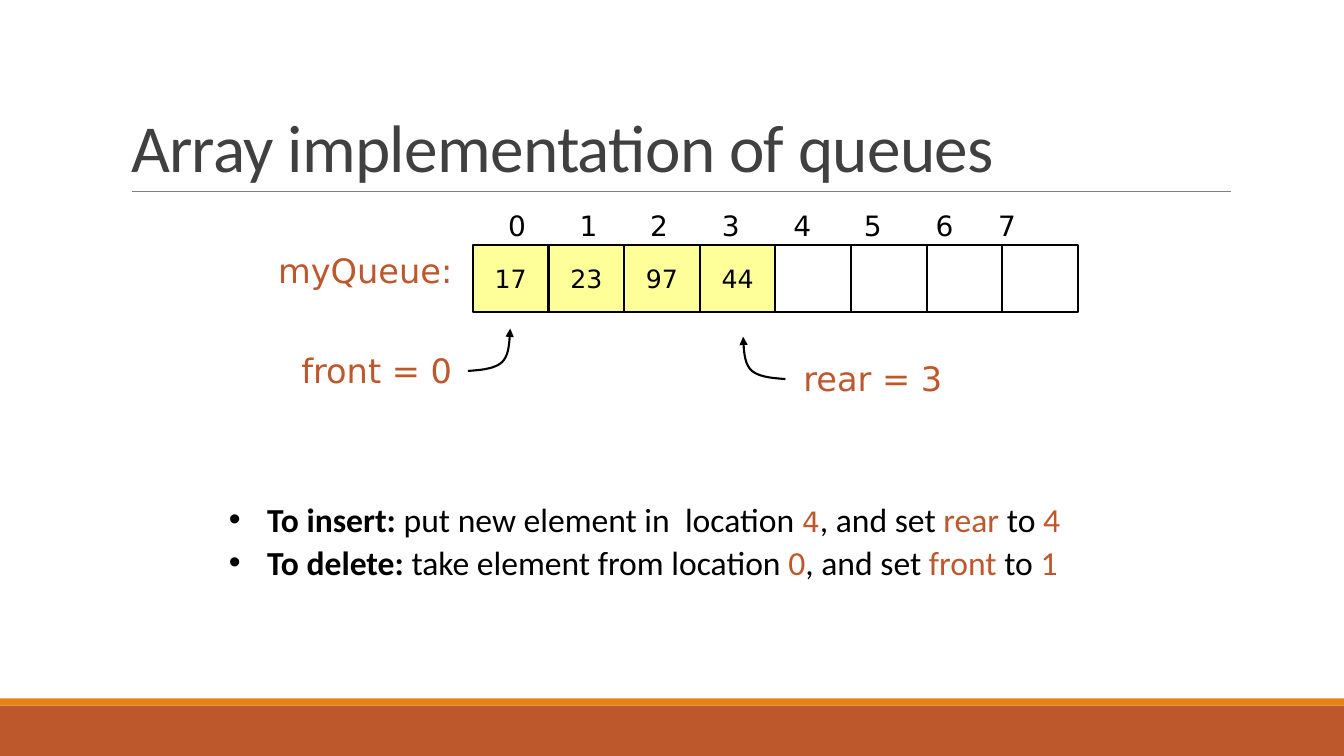
from lxml.etree import SubElement
from pptx import Presentation
from pptx.dml.color import RGBColor
from pptx.enum.shapes import MSO_CONNECTOR as Connector, MSO_SHAPE as Preset
from pptx.enum.text import MSO_ANCHOR as Anchor, MSO_AUTO_SIZE as AutoSize, PP_ALIGN as Align
from pptx.oxml.ns import qn
from pptx.util import Inches, Pt

BLACK, RUST, ORANGE, YELLOW = "000000", "BD582C", "E48312", "FFFF99"
GREY, DARK = "808080", "404040"
SANS, BODY = "DejaVu Sans", "Calibri"
VALUES = ["17", "23", "97", "44", "", "", "", ""]
CELL_WIDTH = 0.75
INDEX_TABS = [round(0.707 * step, 2) for step in range(1, 7)] + [4.86]
ARROW_SIZE = 0.42
ARROW_CURVES = [
    [(0, 1), (0.31, 0.98), (0.64, 0.95), (0.81, 0.79)],
    [(0.81, 0.79), (0.98, 0.62), (0.98, 0.31), (1, 0)],
]
STEPS = [
    [("To insert:", BLACK), (" put new element in  location ", BLACK), ("4", RUST),
     (", and set ", BLACK), ("rear", RUST), (" to ", BLACK), ("4", RUST)],
    [("To delete:", BLACK), (" take element from location ", BLACK), ("0", RUST),
     (", and set ", BLACK), ("front", RUST), (" to ", BLACK), ("1", RUST)],
]


def color(value):
    return RGBColor.from_string(value)


def set_font(font, size, name, value):
    font.size = Pt(size)
    font.name = name
    font.color.rgb = color(value)


def place(shape, left, top, width, height):
    shape.left, shape.top = Inches(left), Inches(top)
    shape.width, shape.height = Inches(width), Inches(height)


def add_box(slide, left, top, width, height, fill=None, outline=None):
    shape = slide.shapes.add_shape(
        Preset.RECTANGLE, Inches(left), Inches(top), Inches(width), Inches(height))
    shape.shadow.inherit = False
    if fill:
        shape.fill.solid()
        shape.fill.fore_color.rgb = color(fill)
    else:
        shape.fill.background()
    if outline:
        shape.line.color.rgb = color(outline)
        shape.line.width = Pt(1.5)
    else:
        shape.line.fill.background()
    return shape


def add_label(slide, text, left, top, width, height, size=24, value=RUST, tabs=()):
    label = slide.shapes.add_textbox(
        Inches(left), Inches(top), Inches(width), Inches(height))
    label.text_frame.word_wrap = True
    paragraph = label.text_frame.paragraphs[0]
    paragraph.text = text
    if tabs:
        tab_list = SubElement(paragraph._p.get_or_add_pPr(), qn("a:tabLst"))
        for position in tabs:
            SubElement(tab_list, qn("a:tab"), pos=str(Inches(position)), algn="l")
    set_font(paragraph.font, size, SANS, value)


def add_frame(slide, width, height):
    add_box(slide, 0, height - 0.5, width, 0.5, RUST)
    add_box(slide, 0, height - 0.57, width, 0.07, ORANGE)
    rule = slide.shapes.add_connector(
        Connector.STRAIGHT, Inches(1.31), Inches(1.9), Inches(12.21), Inches(1.9))
    rule.line.color.rgb = color(GREY)
    rule.line.width = Pt(0.5)
    SubElement(rule._element.spPr, qn("a:effectLst"))


def add_title(slide, left, top, width, height):
    title = slide.shapes.title
    place(title, left, top, width, height)
    frame = title.text_frame
    frame.text = "Array implementation of queues"
    frame.auto_size = AutoSize.NONE
    frame.vertical_anchor = Anchor.BOTTOM
    paragraph = frame.paragraphs[0]
    paragraph.alignment = Align.LEFT
    paragraph.line_spacing = 0.85
    set_font(paragraph.font, 48, BODY, DARK)
    paragraph.runs[0]._r.get_or_add_rPr().set("spc", "-50")


def add_queue(slide, left, top, height):
    for index, value in enumerate(VALUES):
        cell = add_box(slide, left + index * CELL_WIDTH, top, CELL_WIDTH, height,
                       YELLOW if value else None, BLACK)
        if value:
            frame = cell.text_frame
            frame.text = value
            frame.word_wrap = False
            frame.vertical_anchor = Anchor.MIDDLE
            paragraph = frame.paragraphs[0]
            paragraph.alignment = Align.CENTER
            set_font(paragraph.font, 18, SANS, BLACK)
    indexes = "\t".join(str(index) for index in range(len(VALUES)))
    add_label(slide, indexes, left + 0.25, top - 0.41, 5.81, 0.43, 20, BLACK, INDEX_TABS)
    add_label(slide, "myQueue:", left - 2.03, top, 1.96, 0.5)


def curve_point(controls, t):
    weights = ((1 - t) ** 3, 3 * t * (1 - t) ** 2, 3 * t * t * (1 - t), t ** 3)
    return [sum(weight * point[axis] for weight, point in zip(weights, controls))
            for axis in (0, 1)]


def add_pointer(slide, text, text_left, arrow_left, top, mirrored=False):
    add_label(slide, text, text_left, top + 0.16, 1.83, 0.5)
    points = [curve_point(controls, step / 12)
              for controls in ARROW_CURVES for step in range(13)]
    corners = [(Inches(arrow_left + ARROW_SIZE * (1 - x if mirrored else x)),
                Inches(top + ARROW_SIZE * y)) for x, y in points]
    builder = slide.shapes.build_freeform(*corners[0])
    builder.add_line_segments(corners[1:], close=False)
    arrow = builder.convert_to_shape()
    arrow.shadow.inherit = False
    arrow.fill.background()
    arrow.line.color.rgb = color(BLACK)
    arrow.line.width = Pt(1.5)
    SubElement(arrow.line._get_or_add_ln(), qn("a:tailEnd"), type="triangle")


def add_steps(slide, left, top, width, height):
    body = slide.placeholders[1]
    place(body, left, top, width, height)
    frame = body.text_frame
    frame.auto_size = AutoSize.NONE
    frame.vertical_anchor = Anchor.TOP
    for index, parts in enumerate(STEPS):
        paragraph = frame.add_paragraph() if index else frame.paragraphs[0]
        properties = paragraph._p.get_or_add_pPr()
        properties.set("marL", str(Inches(0.38)))
        properties.set("indent", str(Inches(-0.38)))
        SubElement(properties, qn("a:buFont"), typeface="Arial")
        SubElement(properties, qn("a:buChar"), char="•")
        paragraph.line_spacing = 0.9
        paragraph.space_before = Pt(4.8 if index else 0)
        for position, (text, value) in enumerate(parts):
            run = paragraph.add_run()
            run.text = text
            location = index == 0 and position == 2
            set_font(run.font, 20 if location else 24, SANS if location else BODY, value)
            run.font.bold = position == 0


def main():
    presentation = Presentation()
    presentation.slide_width, presentation.slide_height = Inches(13.33), Inches(7.5)
    slide = presentation.slides.add_slide(presentation.slide_layouts[1])
    add_frame(slide, 13.33, 7.5)
    add_title(slide, 1.2, 0.31, 11, 1.59)
    add_queue(slide, 4.69, 2.43, 0.67)
    add_pointer(slide, "front = 0", 2.89, 4.64, 3.26)
    add_pointer(slide, "rear = 3", 7.87, 7.37, 3.34, mirrored=True)
    add_steps(slide, 2.17, 4.94, 9.08, 0.92)
    presentation.save("out.pptx")


if __name__ == "__main__":
    main()
